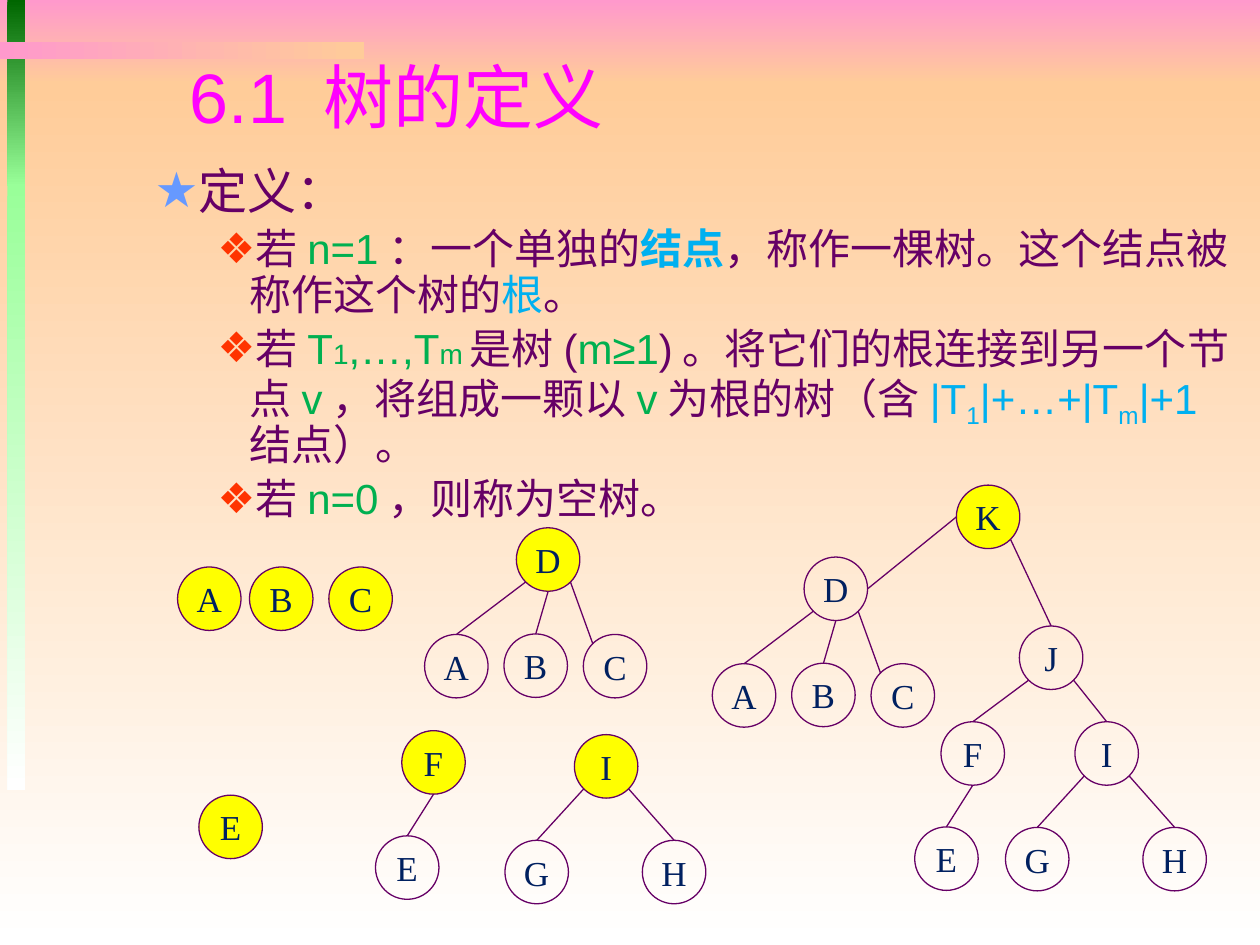
from lxml.etree import SubElement
from pptx import Presentation
from pptx.dml.color import RGBColor
from pptx.enum.shapes import MSO_CONNECTOR as Link, MSO_SHAPE as Shape
from pptx.enum.text import MSO_ANCHOR as Anchor, PP_ALIGN as Align
from pptx.oxml.ns import qn
from pptx.util import Cm, Pt

PINK = RGBColor(0xFF, 0x99, 0xCC)
PEACH = RGBColor(0xFF, 0xCC, 0x99)
WHITE = RGBColor(0xFF, 0xFF, 0xFF)
FOREST = RGBColor(0x00, 0x66, 0x00)
MINT = RGBColor(0x99, 0xFF, 0x99)
PLUM = RGBColor(0x66, 0x00, 0x66)
GREEN = RGBColor(0x00, 0xB0, 0x50)
BLUE = RGBColor(0x00, 0xB0, 0xF0)
STAR = RGBColor(0x66, 0x99, 0xFF)
RED = RGBColor(0xFF, 0x33, 0x00)
MAGENTA = RGBColor(0xFF, 0x00, 0xFF)
YELLOW = RGBColor(0xFF, 0xFF, 0x00)
NAVY = RGBColor(0x00, 0x20, 0x60)

# left, top, width, height, start colour, end colour, angle
BANDS = [
    (0, 0, 25.4, 1.7, PINK, PEACH, 270),
    (0, 1.7, 25.4, 17.35, PEACH, WHITE, 270),
    (0.15, 0, 0.36, 3.76, FOREST, MINT, 270),
    (0.15, 3.71, 0.36, 12.22, MINT, WHITE, 270),
    (0, 0.84, 7.34, 0.36, PINK, PEACH, 0),
]

# bullet, bullet colour, left indent, hanging indent
HEAD = ("★", STAR, 2.06, 0.79)
ITEM = ("❖", RED, 3.18, 0.64)

# level, then runs of text, colour, size and style
BODY = [
    (HEAD, [("定义：", PLUM, 28, "")]),
    (ITEM, [
        ("若", PLUM, 24, ""), ("n=1", GREEN, 24, ""),
        ("：一个单独的", PLUM, 24, ""), ("结点", BLUE, 24, "bold"),
        ("，称作一棵树。这个结点被称作这个树的", PLUM, 24, ""),
        ("根", BLUE, 24, ""), ("。", PLUM, 24, "")]),
    (ITEM, [
        ("若", PLUM, 24, ""), ("T", GREEN, 24, ""), ("1", GREEN, 16, ""),
        (",…,T", GREEN, 24, ""), ("m", GREEN, 16, ""),
        ("是树(", PLUM, 24, ""), ("m≥1", GREEN, 24, ""),
        (")。将它们的根连接到另一个节点", PLUM, 24, ""),
        ("v", GREEN, 24, ""), ("，将组成一颗以", PLUM, 24, ""),
        ("v", GREEN, 24, ""), ("为根的树（含", PLUM, 24, ""),
        ("|T", BLUE, 24, ""), ("1", BLUE, 24, "sub"),
        ("|+…+|T", BLUE, 24, ""), ("m", BLUE, 24, "sub"),
        ("|+1", BLUE, 24, ""), ("结点）。", PLUM, 24, "")]),
    (ITEM, [
        ("若", PLUM, 24, ""), ("n=0", GREEN, 24, ""),
        ("，则称为空树。", PLUM, 24, "")]),
]

SIZE = 1.28
# Points on a node's rim, as shares of its size
RIM = {"n": (0.5, 0), "s": (0.5, 1), "w": (0, 0.5), "e": (1, 0.5),
       "nw": (0.15, 0.15), "sw": (0.15, 0.85), "se": (0.85, 0.85)}

# Children of each node: label, offset, rim point on parent and on child
KIDS = {
    "D": [("A", -1.85, 2.15, "sw", "n"), ("B", -0.25, 2.14, "s", "n"),
          ("C", 1.35, 2.15, "se", "nw")],
    "F": [("E", -0.53, 2.12, "s", "n")],
    "I": [("G", -1.4, 2.13, "sw", "n"), ("H", 1.37, 2.13, "se", "n")],
    "J": [("F", -1.58, 1.93, "sw", "n"), ("I", 1.12, 1.93, "se", "n")],
    "K": [("D", -3.07, 1.45, "w", "e"), ("J", 1.27, 2.84, "se", "n")],
}

LONE = [("A", 3.58, 11.43), ("B", 5.03, 11.43), ("C", 6.63, 11.43),
        ("E", 4.01, 16.03)]
ROOTS = [("D", 10.41, 10.64), ("F", 8.1, 14.73), ("I", 11.58, 14.81),
         ("K", 19.28, 9.78)]


def add_band(slide, x, y, w, h, start, end, angle):
    band = slide.shapes.add_shape(Shape.RECTANGLE, Cm(x), Cm(y), Cm(w), Cm(h))
    band.shadow.inherit = False
    band.line.fill.background()
    band.fill.gradient()
    band.fill.gradient_angle = angle
    for stop, color in zip(band.fill.gradient_stops, (start, end)):
        stop.color.rgb = color


def style(run, font, size, color):
    run.font.name = font
    run.font.size = Pt(size)
    run.font.color.rgb = color


def add_box(slide, x, y, w, h):
    frame = slide.shapes.add_textbox(Cm(x), Cm(y), Cm(w), Cm(h)).text_frame
    frame.word_wrap = True
    return frame


def add_title(slide):
    frame = add_box(slide, 3.58, 1.14, 12.7, 1.8)
    frame.text = "6.1 树的定义"
    para = frame.paragraphs[0]
    para.line_spacing = 0.9
    style(para.runs[0], "Arial", 40, MAGENTA)


def set_bullet(para, mark, color, left, hang):
    props = para._p.get_or_add_pPr()
    props.set("marL", str(Cm(left)))
    props.set("indent", str(-Cm(hang)))
    tint = SubElement(props, qn("a:buClr"))
    SubElement(tint, qn("a:srgbClr"), val=str(color))
    SubElement(props, qn("a:buFont"), typeface="Arial")
    SubElement(props, qn("a:buChar"), char=mark)


def add_body(slide):
    frame = add_box(slide, 1.6, 3.25, 23.62, 7.06)
    for i, (level, parts) in enumerate(BODY):
        para = frame.add_paragraph() if i else frame.paragraphs[0]
        para.line_spacing = 0.9
        if i:
            para.space_before = Pt(4.8)
        set_bullet(para, *level)
        for text, color, size, kind in parts:
            run = para.add_run()
            run.text = text
            style(run, "Arial", size, color)
            if kind == "bold":
                run.font.bold = True
            elif kind == "sub":
                run._r.get_or_add_rPr().set("baseline", "-25000")


def add_node(slide, label, x, y, lit):
    node = slide.shapes.add_shape(Shape.OVAL, Cm(x), Cm(y), Cm(SIZE), Cm(SIZE))
    node.shadow.inherit = False
    if lit:
        node.fill.solid()
        node.fill.fore_color.rgb = YELLOW
    else:
        node.fill.background()
    node.line.color.rgb = PLUM
    node.line.width = Pt(0.75)
    frame = node.text_frame
    frame.word_wrap = False
    frame.vertical_anchor = Anchor.MIDDLE
    frame.text = label
    para = frame.paragraphs[0]
    para.alignment = Align.CENTER
    style(para.runs[0], "Times New Roman", 20, NAVY)


def add_edge(slide, start, end):
    ends = [Cm(v) for v in (*start, *end)]
    edge = slide.shapes.add_connector(Link.STRAIGHT, *ends)
    edge.line.color.rgb = PLUM
    edge.line.width = Pt(0.75)
    SubElement(edge._element.spPr, qn("a:effectLst"))


def rim(x, y, side):
    dx, dy = RIM[side]
    return x + dx * SIZE, y + dy * SIZE


def add_tree(slide, label, x, y, lit=True):
    """Draw a node, then its children and their edges; only the root is lit."""
    add_node(slide, label, x, y, lit)
    for kid, dx, dy, out, into in KIDS.get(label, []):
        add_tree(slide, kid, x + dx, y + dy, lit=False)
        add_edge(slide, rim(x + dx, y + dy, into), rim(x, y, out))


def main():
    deck = Presentation()
    deck.slide_width, deck.slide_height = Cm(25.4), Cm(19.05)
    slide = deck.slides.add_slide(deck.slide_layouts[6])
    for band in BANDS:
        add_band(slide, *band)
    add_body(slide)
    add_title(slide)
    for root in LONE + ROOTS:
        add_tree(slide, *root)
    deck.save("out.pptx")


if __name__ == "__main__":
    main()
